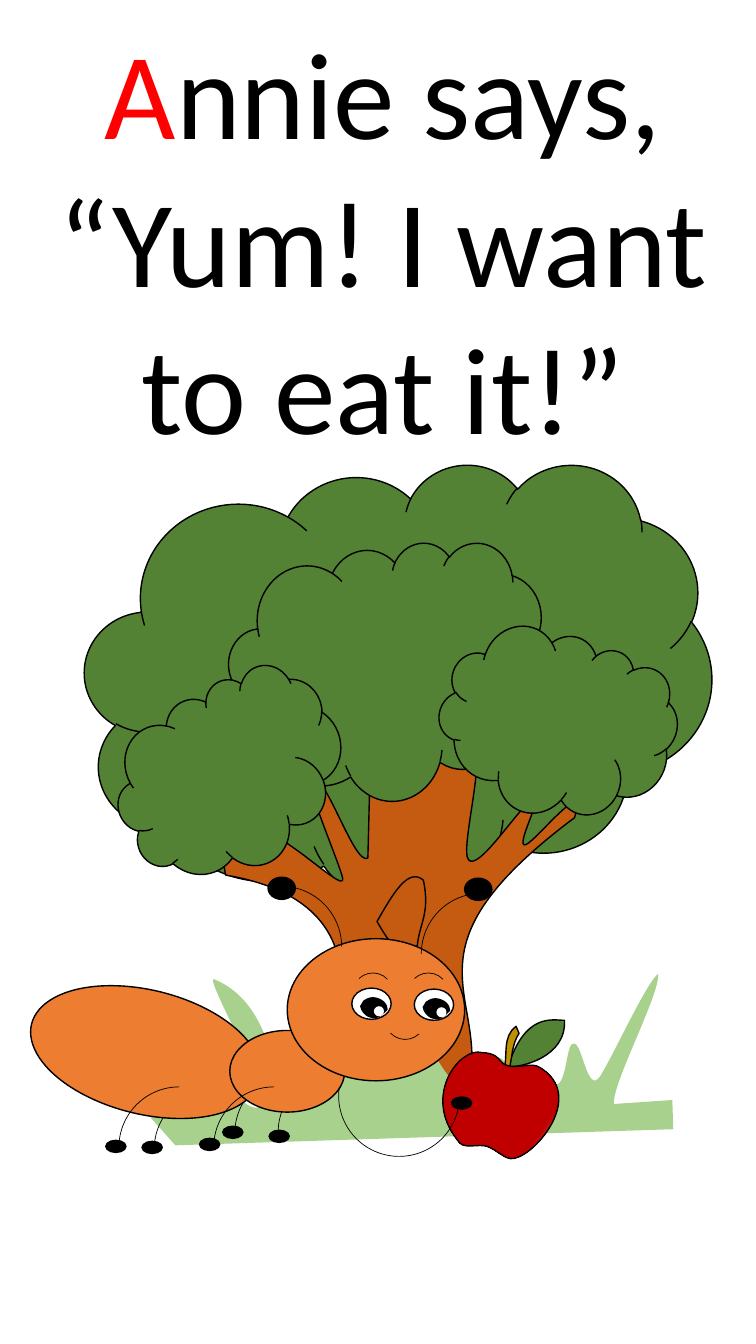
import math

import lxml.etree
import pptx
import pptx.dml.color
import pptx.enum.shapes
import pptx.enum.text
import pptx.oxml.ns
import pptx.util

SCALE = 9144  # EMU per px, 100 px to the inch
SHAPES = pptx.enum.shapes.MSO_SHAPE
BLACK, WHITE, RED = "000000", "FFFFFF", "FF0000"
LEAF, BARK, GRASS = "548235", "C55A11", "A9D18E"
ORANGE, STEM, APPLE, SHINE = "ED7D31", "BF9000", "C00000", "F6F8FC"


def colour(value):
    return pptx.dml.color.RGBColor.from_string(value)


def px(value):
    return pptx.util.Emu(round(value * SCALE))


def add_element(parent, tag, **attributes):
    return lxml.etree.SubElement(parent, pptx.oxml.ns.qn(tag), attributes)


class Storybook:
    def __init__(self, width, height):
        self.presentation = pptx.Presentation()
        self.presentation.slide_width = px(width)
        self.presentation.slide_height = px(height)
        self.slide = self.presentation.slides.add_slide(self.presentation.slide_layouts[6])
        self.shapes = self.slide.shapes

    def group(self):
        self.shapes = self.slide.shapes.add_group_shape().shapes

    def style(self, shape, fill, line):
        shape.shadow.inherit = False
        if fill:
            shape.fill.solid()
            shape.fill.fore_color.rgb = colour(fill)
        else:
            shape.fill.background()
        if line:
            shape.line.color.rgb = colour(BLACK)
            shape.line.width = pptx.util.Pt(line)
        else:
            shape.line.fill.background()
        return shape

    def preset(self, kind, box, fill=None, line=1, rotation=0, flip=""):
        shape = self.shapes.add_shape(kind, *map(px, box))
        shape.rotation = rotation
        for axis in flip:
            shape._element.spPr.xfrm.set("flip" + axis, "1")
        return self.style(shape, fill, line)

    def cloud(self, box, rotation=0):
        return self.preset(SHAPES.CLOUD, box, LEAF, 1, rotation)

    def ellipse(self, box, fill=BLACK, line=1, rotation=0):
        return self.preset(SHAPES.OVAL, box, fill, line, rotation)

    def arc(self, left, top, size=120, rotation=0, flip=""):
        return self.preset(SHAPES.ARC, (left, top, size, size), None, 0.5, rotation, flip)

    def outline(self, box, start, segments, fill=None, line=1, rotation=0, shift=(0, 0)):
        """Trace lines (x, y) and curves (x1, y1, x2, y2, x, y), given as seen on the page."""
        left, top, width, height = box
        builder = self.shapes.build_freeform(px(left + shift[0]), px(top + shift[1]), scale=1.0)
        builder.add_line_segments([(px(left + width + shift[0]), px(top + height + shift[1]))])
        shape = builder.convert_to_shape()
        trace = shape._element.spPr.find(".//" + pptx.oxml.ns.qn("a:path"))
        for child in list(trace):
            trace.remove(child)
        cosine, sine = math.cos(math.radians(rotation)), math.sin(math.radians(rotation))

        def add_step(tag, values):
            step = add_element(trace, tag)
            for x, y in zip(values[::2], values[1::2]):
                across, down = x - left - width / 2, y - top - height / 2
                add_element(step, "a:pt",
                            x=str(px(across * cosine + down * sine + width / 2)),
                            y=str(px(down * cosine - across * sine + height / 2)))

        add_step("a:moveTo", start)
        for segment in segments:
            add_step("a:lnTo" if len(segment) == 2 else "a:cubicBezTo", segment)
        add_element(trace, "a:close")
        shape.rotation = rotation
        return self.style(shape, fill, line)

    def shine(self, shape, highlight, base):
        shape.fill.gradient()
        shape.fill.gradient_angle = 160
        for stop, value, position in zip(shape.fill.gradient_stops, (highlight, base), (0, 0.23)):
            stop.color.rgb = colour(value)
            stop.position = position

    def text(self, box, size, runs):
        frame = self.slide.shapes.add_textbox(*map(px, box)).text_frame
        frame.word_wrap = True
        frame.auto_size = pptx.enum.text.MSO_AUTO_SIZE.SHAPE_TO_FIT_TEXT
        paragraph = frame.paragraphs[0]
        paragraph.alignment = pptx.enum.text.PP_ALIGN.CENTER
        for words, value in runs:
            run = paragraph.add_run()
            run.text = words
            run.font.name = "Calibri"
            run.font.size = pptx.util.Pt(size)
            run.font.color.rgb = colour(value)


def draw_tree(book):
    book.group()
    book.cloud((84, 460, 622, 439))
    # Trunk and branches
    book.outline((222, 731, 350, 345), (368, 731), [
        (466, 731), (487, 736, 455, 843, 465, 853), (475, 864, 514, 802, 528, 793),
        (541, 785, 513, 835, 520, 838), (527, 841, 584, 765, 570, 811),
        (395, 942, 483, 983, 466, 1076), (311, 1076), (303, 1081, 420, 901, 224, 868),
        (215, 828, 237, 833, 252, 833), (257, 799, 344, 891, 340, 871),
        (335, 851, 300, 772, 310, 773), (322, 764, 352, 860, 365, 851), (368, 731)], BARK)
    # Front foliage
    book.cloud((227, 538, 317, 256))
    book.cloud((437, 626, 231, 185), 26.5)
    book.cloud((113, 678, 231, 185), 338.5)
    # Grass
    book.outline((131, 961, 533, 174), (150, 1109), [
        (146, 1102, 187, 1112, 182, 1104), (178, 1097, 136, 1076, 132, 1063),
        (128, 1049, 178, 1061, 207, 1093), (215, 1080, 156, 990, 161, 989),
        (165, 988, 223, 1044, 238, 1090), (255, 1105, 262, 1099, 260, 1085),
        (268, 1085, 204, 971, 212, 971), (271, 995, 267, 1070, 287, 1075),
        (301, 1093, 296, 1069, 302, 1070), (308, 1070, 316, 1083, 322, 1080),
        (330, 1078, 330, 1070, 334, 1061), (339, 1052, 341, 1016, 349, 1010),
        (362, 1014, 379, 1060, 391, 1064), (403, 1064, 382, 991, 394, 991),
        (410, 997, 436, 1066, 452, 1073), (457, 1072, 460, 1055, 465, 1054),
        (472, 1054, 473, 1072, 480, 1073), (485, 1072, 490, 1049, 495, 1049),
        (504, 1050, 511, 1077, 520, 1078), (529, 1079, 546, 1082, 554, 1075),
        (563, 1068, 562, 1032, 570, 1035), (578, 1037, 583, 1085, 595, 1068),
        (607, 1050, 642, 973, 653, 966), (655, 986, 607, 1075, 609, 1095),
        (667, 1091), (668, 1120), (174, 1136), (150, 1109)], GRASS, None, 356.8)
    # Knot in the trunk
    book.outline((374, 870, 48, 72), (374, 914), [
        (390, 886, 405, 860, 420, 873), (427, 906, 416, 916, 414, 938),
        (394, 948, 387, 936, 374, 914)])


def draw_apple(book):
    book.group()
    # Leaf, stem and fruit
    book.outline((495, 1019, 72, 32), (504, 1058), [
        (521, 1004, 548, 1012, 560, 1012), (562, 1049, 516, 1059, 504, 1058)], LEAF, rotation=327.8)
    book.outline((502, 1018, 11, 44), (512, 1018), [
        (515, 1025), (508, 1035, 508, 1049, 505, 1062), (500, 1061),
        (504, 1047, 498, 1028, 512, 1018)], STEM, rotation=9)
    fruit = book.outline((438, 1049, 114, 96), (478, 1044), [
        (498, 1045, 494, 1055, 504, 1057), (514, 1060, 528, 1053, 536, 1059),
        (581, 1087, 532, 1145, 510, 1149), (501, 1151, 493, 1140, 483, 1137),
        (474, 1134, 459, 1141, 454, 1131), (418, 1086, 457, 1038, 478, 1044)], APPLE, rotation=14.7)
    book.shine(fruit, SHINE, APPLE)


def draw_ant(book):
    book.group()
    # Far legs, body and head, near legs
    for left, top in ((276, 1063), (233, 1064), (153, 1080)):
        book.arc(left, top, flip="H")
    book.ellipse((28, 982, 233, 123), ORANGE, rotation=13.8)
    book.ellipse((228, 1022, 114, 81), ORANGE)
    book.ellipse((285, 931, 176, 141), ORANGE)
    for left in (118, 212):
        book.arc(left, 1078, flip="H")
    # Arm reaching for the apple
    arm = book.arc(336, 1027, rotation=278.7, flip="H")
    arm.adjustments[0] = 162
    arm.adjustments[1] = 52.9
    # Antennae and feet
    book.arc(219, 879)
    book.arc(418, 886, flip="H")
    for left, top in ((266, 870), (461, 871)):
        book.ellipse((left, top, 27, 22))
    for left, top in ((267, 1121), (448, 1088), (221, 1117), (198, 1129), (141, 1132), (105, 1131)):
        book.ellipse((left, top, 20, 12))
    # Eyebrows, eyes and smile
    for left in (350, 405):
        book.arc(left, 965, 40, 316.5)
    for left, top in ((349, 980), (411, 981)):
        book.ellipse((left, top, 39, 31), WHITE)
    for shift in ((0, 0), (-62, -1)):
        book.outline((423, 987, 20, 27), (420, 999), [
            (421, 1002), (423, 1006, 426, 1009, 431, 1010), (435, 1011, 439, 1009, 442, 1006),
            (446, 1002), (445, 998), (443, 994, 439, 992, 435, 991),
            (431, 990, 427, 991, 423, 994), (420, 999)], BLACK, rotation=280.7, shift=shift)
        book.ellipse((433 + shift[0], 999 + shift[1], 10, 10), WHITE, None)
    book.arc(382, 991, 40, 316.5, "HV")


def main():
    book = Storybook(750, 1333)
    draw_tree(book)
    draw_apple(book)
    draw_ant(book)
    book.text((28, 11, 704, 454), 88, [("A", RED), ("nnie says, “Yum! I want to eat it!”", BLACK)])
    book.presentation.save("out.pptx")


if __name__ == "__main__":
    main()
